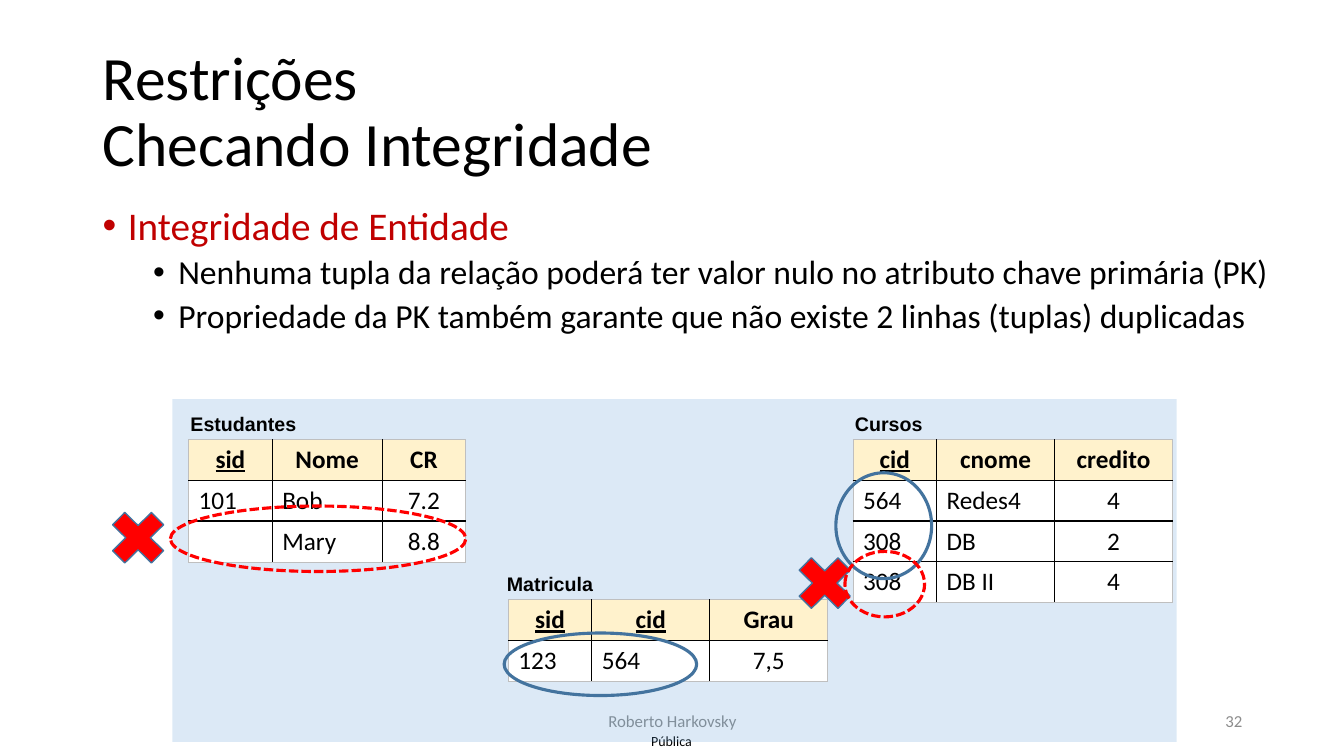
from dataclasses import dataclass

from lxml import etree
from pptx import Presentation
from pptx.dml.color import RGBColor
from pptx.enum import dml, shapes, text
from pptx.oxml import ns
from pptx.util import Inches, Pt


@dataclass(frozen=True)
class Theme:
    font: str = "Calibri"
    label_font: str = "Arial"
    black: str = "000000"
    accent: str = "C00000"
    grey: str = "8C8C8C"
    panel: str = "5B9BD5"
    header: str = "FFF2CC"
    white: str = "FFFFFF"
    red: str = "FF0000"
    blue: str = "43739E"
    edge: str = "BFBFBF"
    title_size: int = 44
    topic_size: int = 28
    point_size: int = 24
    cell_size: int = 18
    label_size: int = 14
    footer_size: int = 12
    mark_size: int = 10


THEME = Theme()
CENTER, RIGHT = text.PP_ALIGN.CENTER, text.PP_ALIGN.RIGHT
SHAPE = shapes.MSO_SHAPE

TITLE = "Restrições\nChecando Integridade"
TOPIC = "Integridade de Entidade"
POINTS = [
    "Nenhuma tupla da relação poderá ter valor nulo no atributo chave primária (PK)",
    "Propriedade da PK também garante que não existe 2 linhas (tuplas) duplicadas",
]
AUTHOR, PAGE_NUMBER, MARKING = "Roberto Harkovsky", "32", "Pública"
PANEL = (1.71, 3.96, 9.96, 3.4)
ROW_HEIGHT = 0.405

# name, label place, table corner, column widths, key columns, centred columns, rows
RELATIONS = [
    ("Estudantes", (1.5, 4.04), (1.87, 4.36), (0.83, 1.09, 0.83), {0}, {2},
     [("sid", "Nome", "CR"), ("101", "Bob", "7.2"), ("", "Mary", "8.8")]),
    ("Cursos", (7.9, 4.04), (8.46, 4.36), (0.83, 1.17, 1.17), {0}, {2},
     [("cid", "cnome", "credito"), ("564", "Redes4", "4"),
      ("308", "DB", "2"), ("308", "DB II", "4")]),
    ("Matricula", (4.54, 5.62), (5.04, 5.95), (0.83, 1.17, 1.17), {0, 1}, {2},
     [("sid", "cid", "Grau"), ("123", "564", "7,5")]),
]

# preset, place, fill, line colour, line width, dashed
MARKS = [
    (SHAPE.OVAL, (5, 6.28, 1.91, 0.62), None, THEME.blue, 2.25, False),
    (SHAPE.OVAL, (1.69, 5.02, 2.93, 0.65), None, THEME.red, 2.25, True),
    (SHAPE.OVAL, (8.29, 4.69, 0.95, 1.05), None, THEME.blue, 2.25, False),
    (SHAPE.MATH_MULTIPLY, (1, 4.97, 0.74, 0.73), THEME.red, THEME.blue, 1, False),
    (SHAPE.MATH_MULTIPLY, (7.81, 5.42, 0.74, 0.73), THEME.red, THEME.blue, 1, False),
    (SHAPE.OVAL, (8.38, 5.47, 0.79, 0.65), None, THEME.red, 2.25, True),
]


def rgb(value):
    return RGBColor.from_string(value)


def child(parent, tag, **attributes):
    return etree.SubElement(parent, ns.qn(tag), attributes)


def write(para, words, size, color=THEME.black, font=THEME.font, bold=False,
          underline=False, align=None, line=None, before=None, indent=None):
    """Fill a paragraph; an indent, in inches, also gives it a bullet."""
    para.text = words
    if align is not None:
        para.alignment = align
    if line is not None:
        para.line_spacing = line
    if before is not None:
        para.space_before = Pt(before)
    if indent is not None:
        properties = para._p.get_or_add_pPr()
        properties.set("marL", str(Inches(indent)))
        properties.set("indent", str(Inches(-0.25)))
        child(properties, "a:buFont", typeface=THEME.label_font)
        child(properties, "a:buChar", char="•")
    for span in para.runs:
        span.font.name, span.font.size = font, Pt(size)
        span.font.bold, span.font.underline = bold, underline
        span.font.color.rgb = rgb(color)


def add_text(page, place, words, size, middle=False, wrap=True, margin=None, **form):
    """Add a text box whose first paragraph holds the words; return its frame."""
    frame = page.shapes.add_textbox(*map(Inches, place)).text_frame
    frame.word_wrap = wrap
    frame.vertical_anchor = text.MSO_ANCHOR.MIDDLE if middle else text.MSO_ANCHOR.TOP
    if margin is not None:
        frame.margin_left = frame.margin_right = Inches(margin)
        frame.margin_top = frame.margin_bottom = Inches(margin)
    write(frame.paragraphs[0], words, size, **form)
    return frame


def add_shape(page, preset, place, fill=None, line=None, width=1, dashed=False, alpha=None):
    shape = page.shapes.add_shape(preset, *map(Inches, place))
    shape.shadow.inherit = False
    if fill:
        shape.fill.solid()
        shape.fill.fore_color.rgb = rgb(fill)
    else:
        shape.fill.background()
    if alpha is not None:
        color = shape._element.spPr.find(".//" + ns.qn("a:srgbClr"))
        child(color, "a:alpha", val=str(alpha * 1000))
    if line:
        shape.line.color.rgb = rgb(line)
        shape.line.width = Pt(width)
    else:
        shape.line.fill.background()
    if dashed:
        # SQUARE_DOT is sysDot in the file format, so the short dash is set directly
        shape.line.dash_style = dml.MSO_LINE.DASH
        shape.line._ln.find(ns.qn("a:prstDash")).set("val", "sysDash")


def set_borders(cell, outer_sides):
    """Draw black rules inside the table and thin grey ones on its edge."""
    properties = cell._tc.get_or_add_tcPr()
    for index, side in enumerate(("lnL", "lnR", "lnT", "lnB")):
        outer = side in outer_sides
        rule = etree.Element(ns.qn("a:" + side), w=str(Pt(0.5 if outer else 1)))
        solid = child(rule, "a:solidFill")
        child(solid, "a:srgbClr", val=THEME.edge if outer else THEME.black)
        properties.insert(index, rule)


def add_relation(page, corner, widths, keys, centred, rows):
    size = (sum(widths), ROW_HEIGHT * len(rows))
    frame = page.shapes.add_table(len(rows), len(widths), *map(Inches, corner + size))
    table = frame.table
    table.first_row = table.horz_banding = False
    for column, width in zip(table.columns, widths):
        column.width = Inches(width)
    for r, values in enumerate(rows):
        table.rows[r].height = Inches(ROW_HEIGHT)
        for c, value in enumerate(values):
            cell, head = table.cell(r, c), r == 0
            cell.fill.solid()
            cell.fill.fore_color.rgb = rgb(THEME.header if head else THEME.white)
            edges = {"lnL": c == 0, "lnR": c == len(widths) - 1,
                     "lnT": head, "lnB": r == len(rows) - 1}
            set_borders(cell, {side for side, outer in edges.items() if outer})
            write(cell.text_frame.paragraphs[0], value, THEME.cell_size, bold=head,
                  underline=head and c in keys,
                  align=CENTER if head or c in centred else None)


def main():
    deck = Presentation()
    deck.slide_width, deck.slide_height = Inches(13.33), Inches(7.5)
    page = deck.slides.add_slide(deck.slide_layouts[6])

    add_text(page, (6.31, 7.21, 0.7, 0.29), MARKING, THEME.mark_size, middle=True,
             margin=0, align=CENTER)
    add_text(page, (0.92, 0.4, 11.5, 1.45), TITLE, THEME.title_size, middle=True, line=0.9)
    body = add_text(page, (0.92, 2, 11.81, 2.62), TOPIC, THEME.topic_size,
                    color=THEME.accent, line=0.9, indent=0.25)
    for point in POINTS:
        para = body.add_paragraph()
        para.level = 1
        write(para, point, THEME.point_size, line=0.9, before=5, indent=0.75)
    for place, words, align in [((4.42, 6.95, 4.5, 0.4), AUTHOR, CENTER),
                                ((9.42, 6.95, 3, 0.4), PAGE_NUMBER, RIGHT)]:
        add_text(page, place, words, THEME.footer_size, middle=True,
                 color=THEME.grey, align=align)

    add_shape(page, SHAPE.RECTANGLE, PANEL, fill=THEME.panel, alpha=21)
    for name, label, corner, widths, keys, centred, rows in RELATIONS:
        add_text(page, label + (1.83, 0.34), name, THEME.label_size,
                 font=THEME.label_font, bold=True, align=CENTER)
        add_relation(page, corner, widths, keys, centred, rows)
    for mark in MARKS:
        add_shape(page, *mark)

    deck.save("out.pptx")


if __name__ == "__main__":
    main()
